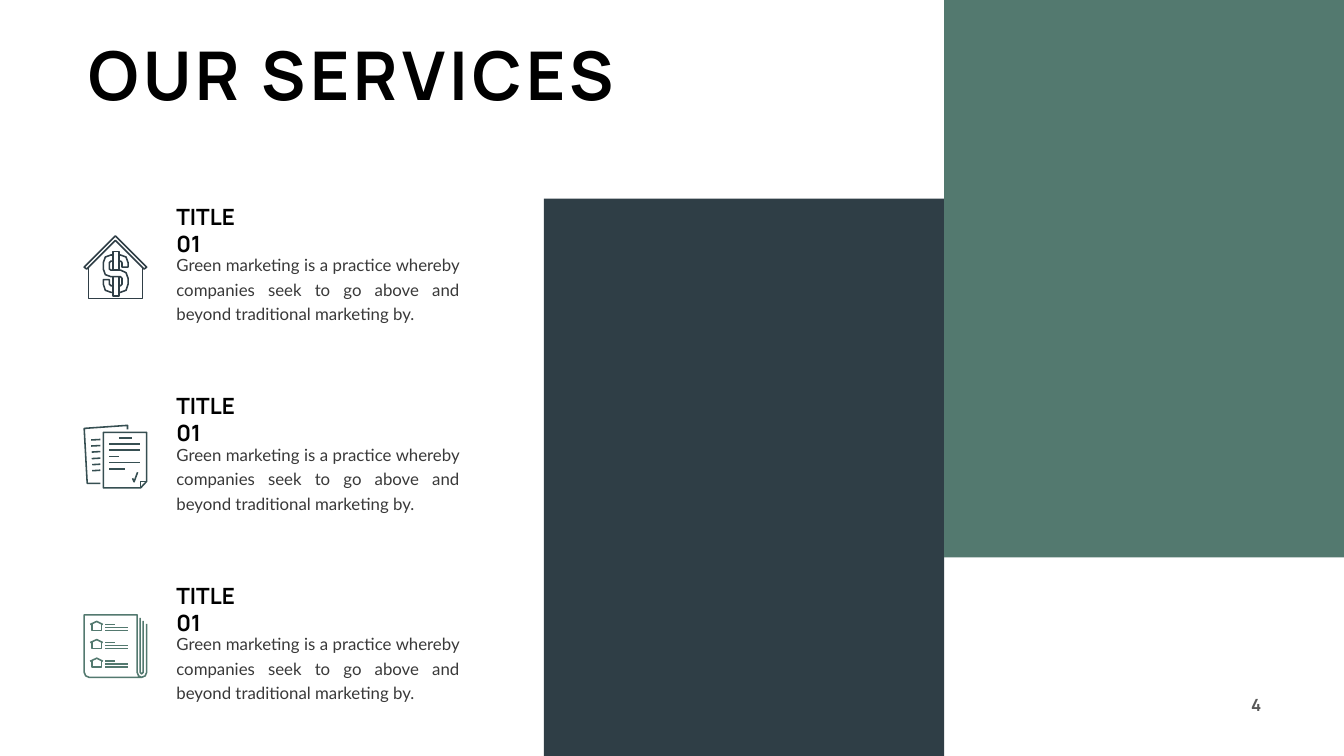
"""Build the "Our services" slide with three icon-led services and two colour panels."""
from dataclasses import dataclass

import pptx
import pptx.dml.color
import pptx.enum.shapes
import pptx.enum.text
import pptx.util

PX = 9144
Point = tuple[int, int]
Stroke = list[Point]


@dataclass(frozen=True)
class Theme:
    slate: str = "2F3E46"
    teal: str = "364F52"
    green: str = "53796F"
    heading: str = "000000"
    body: str = "393939"
    muted: str = "595959"
    display_font: str = "Manrope"
    body_font: str = "Lato"
    title_size: int = 96
    label_size: int = 32
    body_size: int = 24
    body_leading: int = 35
    title_tracking: int = 6
    icon_line: float = 2.25


@dataclass(frozen=True)
class Area:
    left: int
    top: int
    width: int
    height: int

    def emu(self) -> list[int]:
        return [value * PX for value in (self.left, self.top, self.width, self.height)]


@dataclass(frozen=True)
class TextStyle:
    font: str
    size: int
    color: str
    bold: bool = True
    align: str = "LEFT"
    anchor: str = "TOP"
    leading: int = 0
    tracking: int = 0


@dataclass(frozen=True)
class Service:
    title: str
    text: str
    color: str
    strokes: list[Stroke]


THEME = Theme()
TITLE = TextStyle(THEME.display_font, THEME.title_size, THEME.heading,
                  tracking=THEME.title_tracking)
LABEL = TextStyle(THEME.display_font, THEME.label_size, THEME.heading, anchor="MIDDLE")
BODY = TextStyle(THEME.body_font, THEME.body_size, THEME.body, bold=False,
                 align="JUSTIFY", leading=THEME.body_leading)
NUMBER = TextStyle(THEME.display_font, THEME.body_size, THEME.muted, align="RIGHT")

SERVICE_TOP = 424
SERVICE_PITCH = 376


def rgb(value: str) -> pptx.dml.color.RGBColor:
    return pptx.dml.color.RGBColor.from_string(value)


def bar(left: int, right: int, y: int) -> Stroke:
    return [(left, y), (right, y)]


def frame(left: int, top: int, right: int, bottom: int) -> Stroke:
    return [(left, top), (right, top), (right, bottom), (left, bottom), (left, top)]


def house_strokes() -> list[Stroke]:
    return [
        [(63, 1), (125, 63), (120, 67), (63, 10), (6, 67), (1, 63), (63, 1)],
        [(10, 64), (10, 125), (117, 125), (117, 64)],
        frame(58, 32, 70, 69),
        frame(58, 82, 70, 120),
        [(58, 39), (54, 39), (43, 43), (39, 54), (39, 67), (43, 78), (54, 82), (73, 82),
         (76, 85), (76, 97), (73, 100), (70, 100)],
        [(70, 113), (73, 113), (84, 109), (88, 97), (88, 85), (84, 74), (73, 69), (54, 69),
         (51, 67), (51, 54), (54, 51), (58, 51)],
        [(70, 39), (73, 39), (84, 43), (88, 54), (88, 63), (76, 63), (76, 54), (73, 51), (70, 51)],
        [(58, 113), (54, 113), (43, 109), (39, 97), (39, 88), (51, 88), (51, 97), (54, 100),
         (58, 100)],
    ]


def document_strokes() -> list[Stroke]:
    strokes = [
        [(39, 15), (125, 15), (125, 112), (113, 125), (39, 125), (39, 15)],
        [(113, 125), (113, 112), (125, 112)],
        [(87, 9), (87, 1), (1, 7), (7, 116), (33, 116)],
        [(97, 106), (100, 113), (107, 94)],
        bar(70, 95, 26),
    ]
    strokes += [bar(51, right, 38 + round(12.4 * row))
                for row, right in enumerate((112, 112, 70, 112, 82))]
    strokes += [[(15 + row // 2, 30 + round(12.2 * row)), (33, 29 + round(12.2 * row))]
                for row in range(6)]
    return strokes


def checklist_strokes() -> list[Stroke]:
    strokes = [
        [(115, 125), (11, 125), (4, 122), (1, 115), (1, 1), (106, 1), (106, 115), (109, 122),
         (115, 125), (122, 122), (125, 115), (125, 19)],
        [(112, 7), (112, 115), (115, 118), (118, 115), (118, 13)],
    ]
    for row in range(3):
        top = 14 + round(36.5 * row)
        strokes += [
            [(13, top + 6), (26, top), (38, top + 6)],
            [(17, top + 5), (17, top + 18), (35, top + 18), (35, top + 5)],
        ]
        strokes += [bar(43, right, top + 6 * line)
                    for line, right in enumerate((63, 88, 88), start=1)]
    return strokes


def draw_panel(page, area: Area, color: str) -> None:
    panel = page.shapes.add_shape(pptx.enum.shapes.MSO_SHAPE.RECTANGLE, *area.emu())
    panel.shadow.inherit = False
    panel.fill.solid()
    panel.fill.fore_color.rgb = rgb(color)
    panel.line.fill.background()


def draw_text(page, area: Area, text: str, style: TextStyle) -> None:
    box = page.shapes.add_textbox(*area.emu())
    box.text_frame.word_wrap = True
    box.text_frame.vertical_anchor = getattr(pptx.enum.text.MSO_ANCHOR, style.anchor)
    para = box.text_frame.paragraphs[0]
    para.alignment = getattr(pptx.enum.text.PP_ALIGN, style.align)
    if style.leading:
        para.line_spacing = pptx.util.Pt(style.leading)
    span = para.add_run()
    span.text = text
    span.font.name = style.font
    span.font.size = pptx.util.Pt(style.size)
    span.font.bold = style.bold
    span.font.color.rgb = rgb(style.color)
    if style.tracking:
        span.font._element.set("spc", str(style.tracking * 100))


def draw_icon(page, left: int, top: int, strokes: list[Stroke], color: str) -> None:
    builder = page.shapes.build_freeform(*strokes[0][0], scale=PX)
    for stroke in strokes:
        builder.move_to(*stroke[0])
        builder.add_line_segments(stroke[1:], close=False)
    icon = builder.convert_to_shape(left * PX, top * PX)
    icon.shadow.inherit = False
    icon.fill.background()
    icon.line.color.rgb = rgb(color)
    icon.line.width = pptx.util.Pt(THEME.icon_line)


def draw_service(page, service: Service, top: int) -> None:
    draw_icon(page, 166, top + 43, service.strokes, service.color)
    draw_text(page, Area(340, top, 188, 64), service.title, LABEL)
    draw_text(page, Area(340, top + 68, 581, 152), service.text, BODY)


def main() -> None:
    deck = pptx.Presentation()
    deck.slide_width, deck.slide_height = 2666 * PX, 1500 * PX
    page = deck.slides.add_slide(deck.slide_layouts[6])
    draw_text(page, Area(2441, 1373, 71, 50), "4", NUMBER)
    draw_panel(page, Area(1079, 394, 794, 1106), THEME.slate)
    draw_panel(page, Area(1873, 0, 793, 1106), THEME.green)
    draw_text(page, Area(166, 61, 1078, 172), "OUR SERVICES", TITLE)
    summary = ("Green marketing is a practice whereby companies seek to go above "
               "and beyond traditional marketing by.")
    icons = [(THEME.slate, house_strokes()), (THEME.teal, document_strokes()),
             (THEME.green, checklist_strokes())]
    for row, (color, strokes) in enumerate(icons):
        draw_service(page, Service("TITLE 01", summary, color, strokes),
                     SERVICE_TOP + row * SERVICE_PITCH)
    deck.save("out.pptx")


if __name__ == "__main__":
    main()
